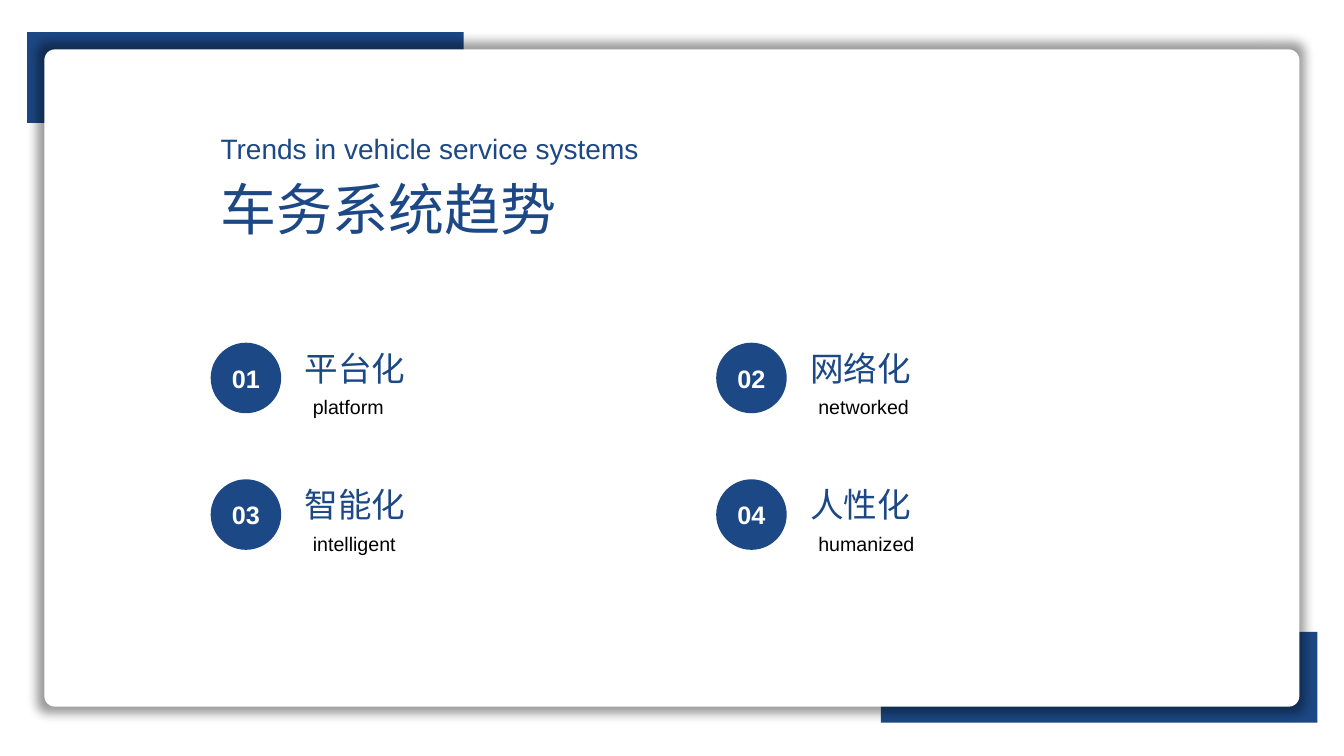
"""Build the slide on trends in vehicle service systems."""
import dataclasses
import typing

import lxml.etree
import pptx
import pptx.dml.color
import pptx.enum.shapes
import pptx.enum.text
import pptx.oxml.ns
import pptx.util

SHAPE = pptx.enum.shapes.MSO_SHAPE
ALIGN = pptx.enum.text.PP_ALIGN
CELL = pptx.util.Inches(0.1)
NAVY = "1C4885"
WHITE = "FFFFFF"
BLACK = "000000"


@dataclasses.dataclass(frozen=True)
class Area:
    column: float
    row: float
    columns: float
    rows: float

    def lengths(self) -> list[int]:
        return [round(cells * CELL) for cells in dataclasses.astuple(self)]


@dataclasses.dataclass(frozen=True)
class Style:
    size: float
    color: str
    align: typing.Any = ALIGN.LEFT
    bold: bool = False


@dataclasses.dataclass(frozen=True)
class Trend:
    name: str
    english: str


TITLE = Style(40, NAVY, ALIGN.JUSTIFY)
SUBTITLE = Style(20, NAVY, ALIGN.JUSTIFY)
NUMBER = Style(18, WHITE, ALIGN.CENTER, True)
TREND_NAME = Style(24, NAVY)
TREND_ENGLISH = Style(14, BLACK, ALIGN.JUSTIFY)

CORNERS = [Area(87.4, 62.7, 43.3, 9), Area(2.7, 3.2, 43.3, 9)]
CARD = Area(4.4, 4.9, 124.5, 65.2)
LEFT, TOP = 20.9, 34
COLUMN_STEP, ROW_STEP = 50.15, 13.55
TRENDS = [
    Trend("平台化", "platform"),
    Trend("网络化", "networked"),
    Trend("智能化", "intelligent"),
    Trend("人性化", "humanized"),
]


def rgb(color: str) -> pptx.dml.color.RGBColor:
    return pptx.dml.color.RGBColor.from_string(color)


def write(frame: typing.Any, text: str, style: Style) -> None:
    para = frame.paragraphs[0]
    para.alignment = style.align
    span = para.add_run()
    span.text = text
    formats = {"name": "Arial", "size": pptx.util.Pt(style.size), "bold": style.bold}
    for key, value in formats.items():
        setattr(span.font, key, value)
    span.font.color.rgb = rgb(style.color)


def add_box(page: typing.Any, area: Area, text: str, style: Style) -> None:
    frame = page.shapes.add_textbox(*area.lengths()).text_frame
    formats = {
        "word_wrap": True,
        "auto_size": pptx.enum.text.MSO_AUTO_SIZE.SHAPE_TO_FIT_TEXT,
    }
    for key, value in formats.items():
        setattr(frame, key, value)
    write(frame, text, style)


def add_block(page: typing.Any, kind: typing.Any, area: Area, color: str) -> typing.Any:
    block = page.shapes.add_shape(kind, *area.lengths())
    block.shadow.inherit = False
    block.fill.solid()
    block.fill.fore_color.rgb = rgb(color)
    block.line.fill.background()
    return block


def add_glow_shadow(block: typing.Any) -> None:
    name = pptx.oxml.ns.qn
    effects = block._element.spPr.find(name("a:effectLst"))
    shadow = lxml.etree.SubElement(
        effects, name("a:outerShdw"), blurRad=str(CELL), sx="101000", sy="102000",
        algn="ctr", rotWithShape="0",
    )
    tint = lxml.etree.SubElement(shadow, name("a:srgbClr"), val=BLACK)
    lxml.etree.SubElement(tint, name("a:alpha"), val="40000")


def add_trend(page: typing.Any, index: int, trend: Trend) -> None:
    row, column = divmod(index, 2)
    left = LEFT + column * COLUMN_STEP
    top = TOP + row * ROW_STEP
    badge = add_block(page, SHAPE.OVAL, Area(left, top, 7, 7), NAVY)
    frame = badge.text_frame
    formats = {
        "margin_left": 0,
        "margin_right": 0,
        "vertical_anchor": pptx.enum.text.MSO_ANCHOR.MIDDLE,
    }
    for key, value in formats.items():
        setattr(frame, key, value)
    write(frame, f"{index + 1:02}", NUMBER)
    add_box(page, Area(left + 8.35, top, 40.5, 5), trend.name, TREND_NAME)
    add_box(page, Area(left + 9.15, top + 4.7, 29.3, 3.4), trend.english, TREND_ENGLISH)


def main() -> None:
    deck = pptx.Presentation()
    deck.slide_width = round(133.33 * CELL)
    deck.slide_height = 75 * CELL
    page = deck.slides.add_slide(deck.slide_layouts[6])
    for corner in CORNERS:
        add_block(page, SHAPE.RECTANGLE, corner, NAVY)
    card = add_block(page, SHAPE.ROUNDED_RECTANGLE, CARD, WHITE)
    card.adjustments[0] = 0.016
    add_glow_shadow(card)
    add_box(page, Area(LEFT, 16.8, 37.3, 7.7), "车务系统趋势", TITLE)
    add_box(page, Area(LEFT, 12.6, 44, 4.4), "Trends in vehicle service systems", SUBTITLE)
    for index, trend in enumerate(TRENDS):
        add_trend(page, index, trend)
    deck.save("out.pptx")


if __name__ == "__main__":
    main()
